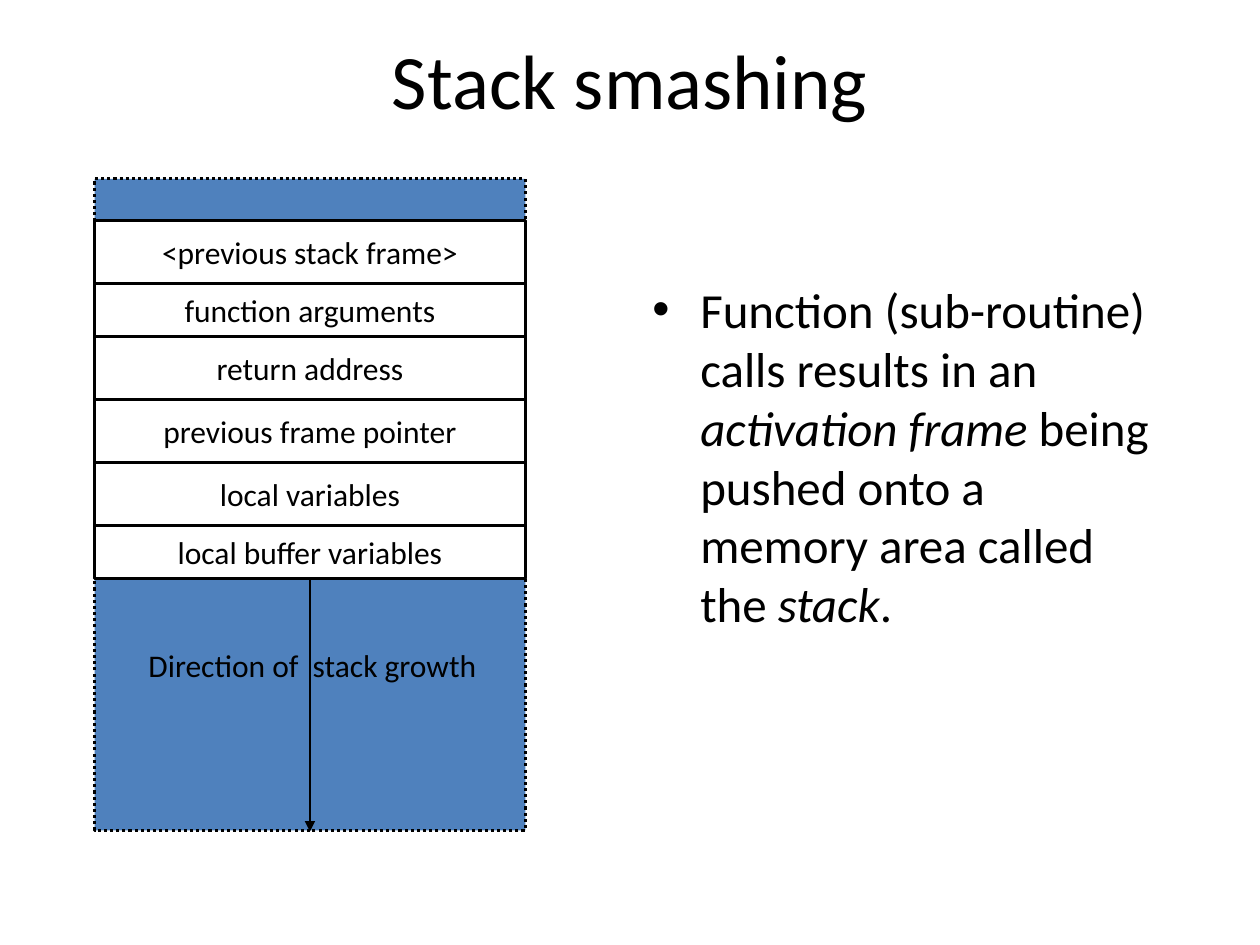
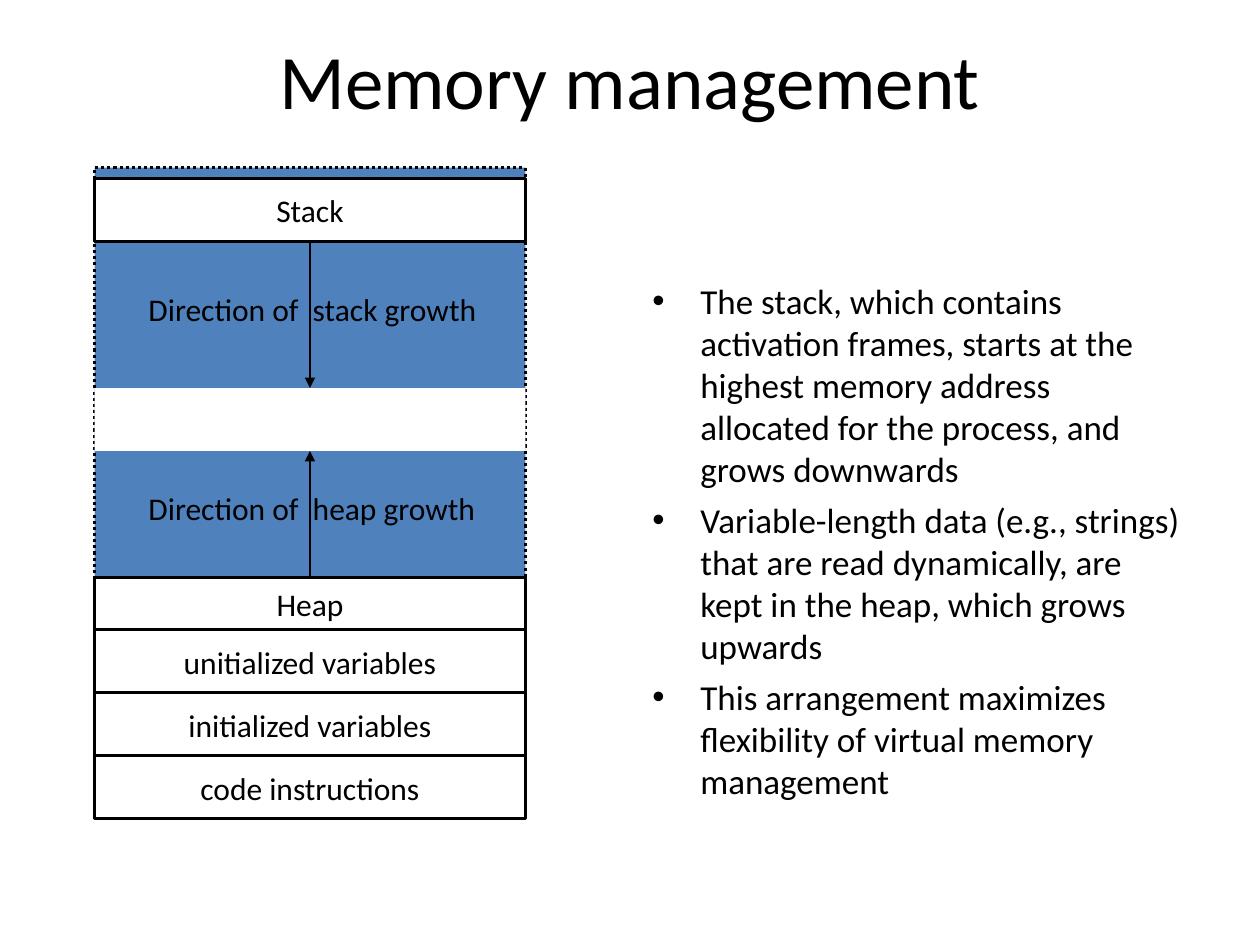
from pptx import Presentation
from pptx.dml.color import RGBColor
from pptx.enum.dml import MSO_LINE_DASH_STYLE as Dash
from pptx.enum.shapes import MSO_CONNECTOR as Conn, MSO_SHAPE as Shape
from pptx.enum.text import MSO_ANCHOR as Anchor, PP_ALIGN as Align
from pptx.oxml.ns import qn
from pptx.util import Inches, Pt
from lxml.etree import SubElement

BLACK, WHITE, BLUE = "000000", "FFFFFF", "4F81BD"
FONT = "Calibri"
LEFT, WIDTH = 0.75, 3.42       # memory column
TALL, SHORT = 0.5, 0.42        # row heights


def color(code):
    return RGBColor.from_string(code)


def style(item, **fmt):
    for name, value in fmt.items():
        setattr(item, name, value)


def write(par, text, size, **fmt):
    run = par.add_run()
    run.text = text
    style(run.font, name=FONT, size=Pt(size), **fmt)
    run.font.color.rgb = color(BLACK)


# Shared parts
def add_slide(deck, title):
    slide = deck.slides.add_slide(deck.slide_layouts[5])
    head = slide.shapes.title
    style(head, left=Inches(0.75), top=Inches(0),
          width=Inches(8.5), height=Inches(1.25))
    frame = head.text_frame
    style(frame, vertical_anchor=Anchor.MIDDLE, word_wrap=True)
    frame.paragraphs[0].alignment = Align.CENTER
    write(frame.paragraphs[0], title, 44)
    return slide


def add_points(slide, box, points, size, gap):
    """Each point is a list of runs; every second run is italic."""
    frame = slide.shapes.add_textbox(*map(Inches, box)).text_frame
    frame.word_wrap = True
    for i, runs in enumerate(points):
        par = frame.add_paragraph() if i else frame.paragraphs[0]
        par.space_before = Pt(gap)
        props = par._p.get_or_add_pPr()
        props.set("marL", str(Inches(0.38)))
        props.set("indent", str(Inches(-0.38)))
        SubElement(props, qn("a:buFont"), typeface="Arial")
        SubElement(props, qn("a:buChar"), char="•")
        for j, text in enumerate(runs):
            write(par, text, size, italic=j % 2 == 1)


# Memory column
def add_block(slide, top, height, fill, edge=True, dash=None):
    box = slide.shapes.add_shape(
        Shape.RECTANGLE, *map(Inches, (LEFT, top, WIDTH, height)))
    box.shadow.inherit = False
    box.fill.solid()
    box.fill.fore_color.rgb = color(fill)
    if edge:
        box.line.color.rgb = color(BLACK)
        style(box.line, width=Pt(1.76), dash_style=dash)
    else:
        box.line.fill.background()
    return box


def add_memory(slide, top):
    add_block(slide, top, 5.17, BLUE, dash=Dash.ROUND_DOT)


def add_rows(slide, top, rows):
    for label, height in rows:
        frame = add_block(slide, top, height, WHITE).text_frame
        style(frame, vertical_anchor=Anchor.MIDDLE, word_wrap=False)
        frame.paragraphs[0].alignment = Align.CENTER
        write(frame.paragraphs[0], label, 18)
        top += height


def add_growth(slide, start, end, top, label):
    mid = LEFT + WIDTH / 2
    arrow = slide.shapes.add_connector(
        Conn.STRAIGHT, *map(Inches, (mid, start, mid, end)))
    arrow.line.color.rgb = color(BLACK)
    arrow.line.width = Pt(0.74)
    SubElement(arrow.line._get_or_add_ln(), qn("a:tailEnd"), type="triangle")
    SubElement(arrow._element.spPr, qn("a:effectLst"))
    note = slide.shapes.add_textbox(*map(Inches, (1.08, top, 2.92, 0.4)))
    note.text_frame.word_wrap = True
    write(note.text_frame.paragraphs[0], label, 18)


# Slides
def smash_slide(deck):
    slide = add_slide(deck, "Stack smashing")
    add_points(slide, (5.08, 2.17, 4.17, 4.5), [
        ["Function (sub-routine) calls results in an ", "activation frame",
         " being pushed onto a memory area called the ", "stack", "."],
    ], 28, 7)
    add_memory(slide, 1.42)
    add_rows(slide, 1.75, [
        ("<previous stack frame>", TALL),
        ("function arguments", SHORT),
        ("return address", TALL),
        ("previous frame pointer", TALL),
        ("local variables", TALL),
        ("local buffer variables", SHORT),
    ])
    add_growth(slide, 4.6, 6.6, 5.08, "Direction of  stack growth")


def memory_slide(deck):
    slide = add_slide(deck, "Memory management")
    add_points(slide, (5.08, 2.17, 4.42, 4.5), [
        ["The stack, which contains activation frames, starts at the highest "
         "memory address allocated for the process, and grows downwards"],
        ["Variable-length data (e.g., strings) that are read dynamically, "
         "are kept in the heap, which grows upwards"],
        ["This arrangement maximizes flexibility of virtual memory "
         "management"],
    ], 20, 5)
    add_memory(slide, 1.33)
    add_rows(slide, 1.42, [("Stack", TALL)])
    add_rows(slide, 4.58, [
        ("Heap", SHORT),
        ("unitialized variables", TALL),
        ("initialized variables", TALL),
        ("code instructions", TALL),
    ])
    add_growth(slide, 1.93, 3.08, 2.25, "Direction of  stack growth")
    add_block(slide, 3.08, TALL, WHITE, edge=False)
    add_growth(slide, 4.57, 3.58, 3.83, "Direction of  heap growth")


deck = Presentation()
style(deck, slide_width=Inches(10), slide_height=Inches(7.5))
smash_slide(deck)
memory_slide(deck)
deck.save("out.pptx")
